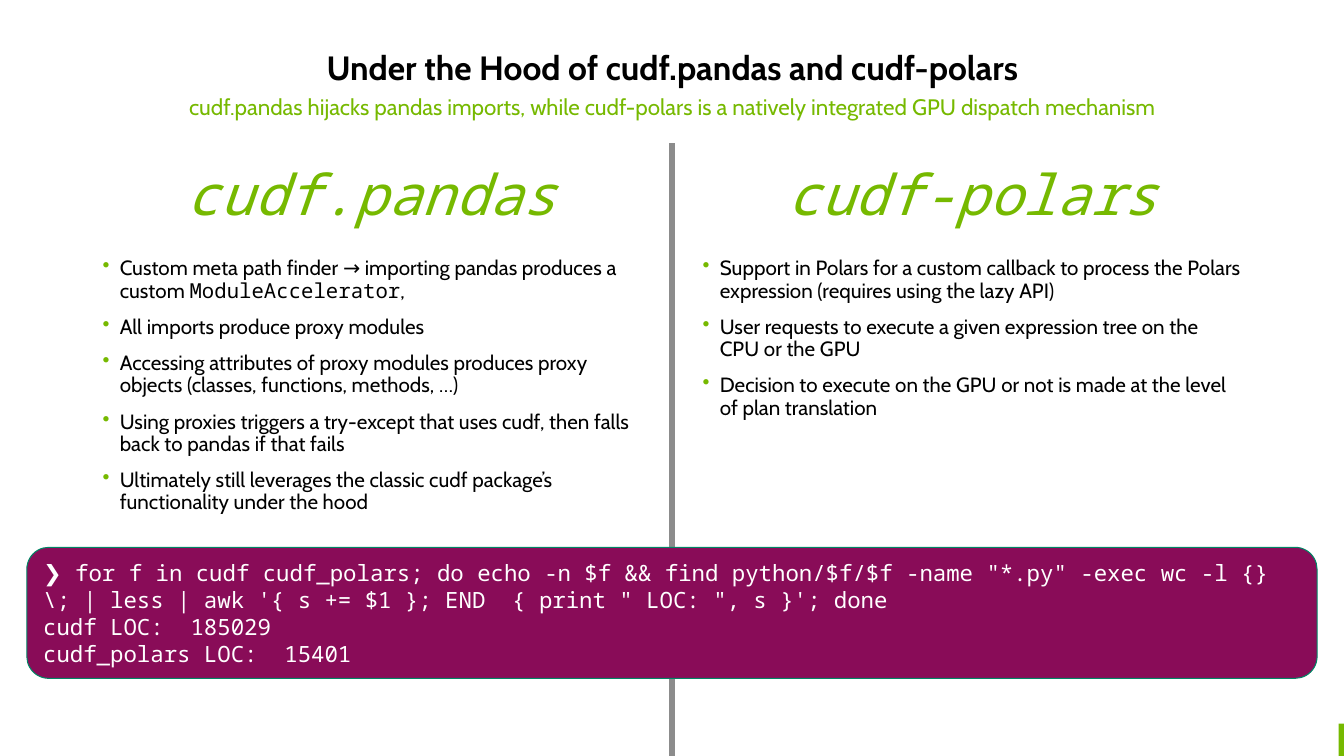
from dataclasses import dataclass

from lxml.etree import SubElement
from pptx import Presentation
from pptx.dml.color import RGBColor
from pptx.enum.shapes import MSO_CONNECTOR, MSO_SHAPE
from pptx.enum.text import MSO_ANCHOR, PP_ALIGN
from pptx.oxml.ns import qn
from pptx.shapes.autoshape import Shape
from pptx.slide import Slide
from pptx.text.text import _Paragraph as Paragraph
from pptx.util import Emu, Inches, Pt

GREEN = RGBColor(0x76, 0xB9, 0x00)
BLACK = RGBColor(0x00, 0x00, 0x00)
WHITE = RGBColor(0xFF, 0xFF, 0xFF)
GREY = RGBColor(0x8C, 0x8C, 0x8C)
PLUM = RGBColor(0x89, 0x0C, 0x58)
TEAL = RGBColor(0x00, 0x85, 0x64)

SANS = "Cabin"
MONO = "Noto Sans Mono"

SLIDE_WIDTH = Inches(13.33)
SLIDE_HEIGHT = Inches(7.5)
HANGING = Inches(0.17)


@dataclass(frozen=True)
class Area:
    """A rectangle in percent of the slide's width and height."""
    left: float
    top: float
    width: float
    height: float

    def emu(self) -> tuple[Emu, Emu, Emu, Emu]:
        return (across(self.left), down(self.top),
                across(self.width), down(self.height))


@dataclass(frozen=True)
class Style:
    size: float
    color: RGBColor
    family: str = SANS
    bold: bool = False
    italic: bool = False


@dataclass(frozen=True)
class Approach:
    """One half of the comparison; backticks in a point mark code."""
    name: str
    name_area: Area
    points_area: Area
    points: tuple[str, ...]


TITLE = Style(24, BLACK, bold=True)
SUBTITLE = Style(16, GREEN)
HEADING = Style(40, GREEN, MONO, italic=True)
POINT = Style(14.7, BLACK)
CODE = Style(16, WHITE, MONO)

APPROACHES = (
    Approach(
        "cudf.pandas",
        Area(12.83, 20.4, 29.63, 10.27),
        Area(6.9, 33.47, 41.63, 56.53),
        (
            "Custom meta path finder → importing pandas produces a custom "
            "`ModuleAccelerator`,",
            "All imports produce proxy modules",
            "Accessing attributes of proxy modules produces proxy objects "
            "(classes, functions, methods, …)",
            "Using proxies triggers a try-except that uses cudf, then falls "
            "back to pandas if that fails",
            "Ultimately still leverages the classic cudf package’s "
            "functionality under the hood",
        ),
    ),
    Approach(
        "cudf-polars",
        Area(55.21, 20.4, 34.28, 10.27),
        Area(51.54, 33.47, 41.63, 56.53),
        (
            "Support in Polars for a custom callback to process the Polars "
            "expression (requires using the lazy API)",
            "User requests to execute a given expression tree on the CPU or "
            "the GPU",
            "Decision to execute on the GPU or not is made at the level of "
            "plan translation",
        ),
    ),
)

TERMINAL_LINES = (
    "❯ for f in cudf cudf_polars; do echo -n $f && find python/$f/$f "
    "-name \"*.py\" -exec wc -l {} \\; | less | awk "
    "'{ s += $1 }; END  { print \" LOC: \", s }'; done",
    "cudf LOC:  185029",
    "cudf_polars LOC:  15401",
)


def across(percent: float) -> Emu:
    return Emu(round(SLIDE_WIDTH * percent / 100))


def down(percent: float) -> Emu:
    return Emu(round(SLIDE_HEIGHT * percent / 100))


def set_font(paragraph: Paragraph, style: Style) -> None:
    font = paragraph.font
    font.size = Pt(style.size)
    font.name = style.family
    font.bold = style.bold
    font.italic = style.italic
    font.color.rgb = style.color


def add_bullet(paragraph: Paragraph) -> None:
    properties = paragraph._p.get_or_add_pPr()
    properties.set("marL", str(HANGING))
    properties.set("indent", str(-HANGING))
    color = SubElement(properties, qn("a:buClr"))
    SubElement(color, qn("a:srgbClr"), val=str(GREEN))
    SubElement(properties, qn("a:buChar"), char="•")


def add_text_area(slide: Slide, area: Area) -> Shape:
    text_area = slide.shapes.add_textbox(*area.emu())
    text_area.text_frame.word_wrap = True
    return text_area


def add_centred_line(slide: Slide, area: Area, text: str, style: Style,
                     anchor: MSO_ANCHOR = MSO_ANCHOR.TOP,
                     spacing: float = 1.0) -> None:
    frame = add_text_area(slide, area).text_frame
    frame.vertical_anchor = anchor
    paragraph = frame.paragraphs[0]
    paragraph.text = text
    paragraph.alignment = PP_ALIGN.CENTER
    paragraph.line_spacing = spacing
    set_font(paragraph, style)


def add_points(slide: Slide, area: Area, points: tuple[str, ...]) -> None:
    frame = add_text_area(slide, area).text_frame
    for index, point in enumerate(points):
        paragraph = frame.add_paragraph() if index else frame.paragraphs[0]
        paragraph.line_spacing = 0.9
        paragraph.space_before = Pt(10 if index else 0)
        add_bullet(paragraph)
        set_font(paragraph, POINT)
        pieces = point.split("`")
        for position, piece in enumerate(pieces):
            run = paragraph.add_run()
            run.text = piece
            if len(pieces) > 1:
                run.font.name = MONO if position % 2 else SANS


def add_block(slide: Slide, preset: MSO_SHAPE, area: Area,
              fill: RGBColor) -> Shape:
    block = slide.shapes.add_shape(preset, *area.emu())
    block.shadow.inherit = False
    block.fill.solid()
    block.fill.fore_color.rgb = fill
    block.line.fill.background()
    return block


def add_divider(slide: Slide) -> None:
    divider = slide.shapes.add_connector(
        MSO_CONNECTOR.STRAIGHT, across(50), down(18.93), across(50), down(100))
    divider.line.color.rgb = GREY
    divider.line.width = Pt(4)
    SubElement(divider._element.spPr, qn("a:effectLst"))


def add_terminal(slide: Slide) -> None:
    terminal = add_block(slide, MSO_SHAPE.ROUNDED_RECTANGLE,
                         Area(2, 72.4, 96, 17.33), PLUM)
    terminal.line.color.rgb = TEAL
    terminal.line.width = Pt(0.75)
    frame = terminal.text_frame
    frame.word_wrap = True
    frame.vertical_anchor = MSO_ANCHOR.MIDDLE
    frame.text = "\n".join(TERMINAL_LINES)
    for paragraph in frame.paragraphs:
        paragraph.alignment = PP_ALIGN.LEFT
        set_font(paragraph, CODE)


def main() -> None:
    deck = Presentation()
    deck.slide_width = SLIDE_WIDTH
    deck.slide_height = SLIDE_HEIGHT
    slide = deck.slides.add_slide(deck.slide_layouts[6])

    add_block(slide, MSO_SHAPE.RECTANGLE, Area(99.6, 95.73, 0.4, 4.27), GREEN)
    add_centred_line(slide, Area(6.9, 0, 86.27, 12.27),
                     "Under the Hood of cudf.pandas and cudf-polars",
                     TITLE, MSO_ANCHOR.BOTTOM, 0.9)
    add_centred_line(slide, Area(6.9, 12.13, 86.27, 6.8),
                     "cudf.pandas hijacks pandas imports, while cudf-polars is "
                     "a natively integrated GPU dispatch mechanism",
                     SUBTITLE, spacing=0.9)
    for approach in APPROACHES:
        add_points(slide, approach.points_area, approach.points)
        add_centred_line(slide, approach.name_area, approach.name, HEADING)
    add_divider(slide)
    add_terminal(slide)
    deck.save("out.pptx")


if __name__ == "__main__":
    main()
